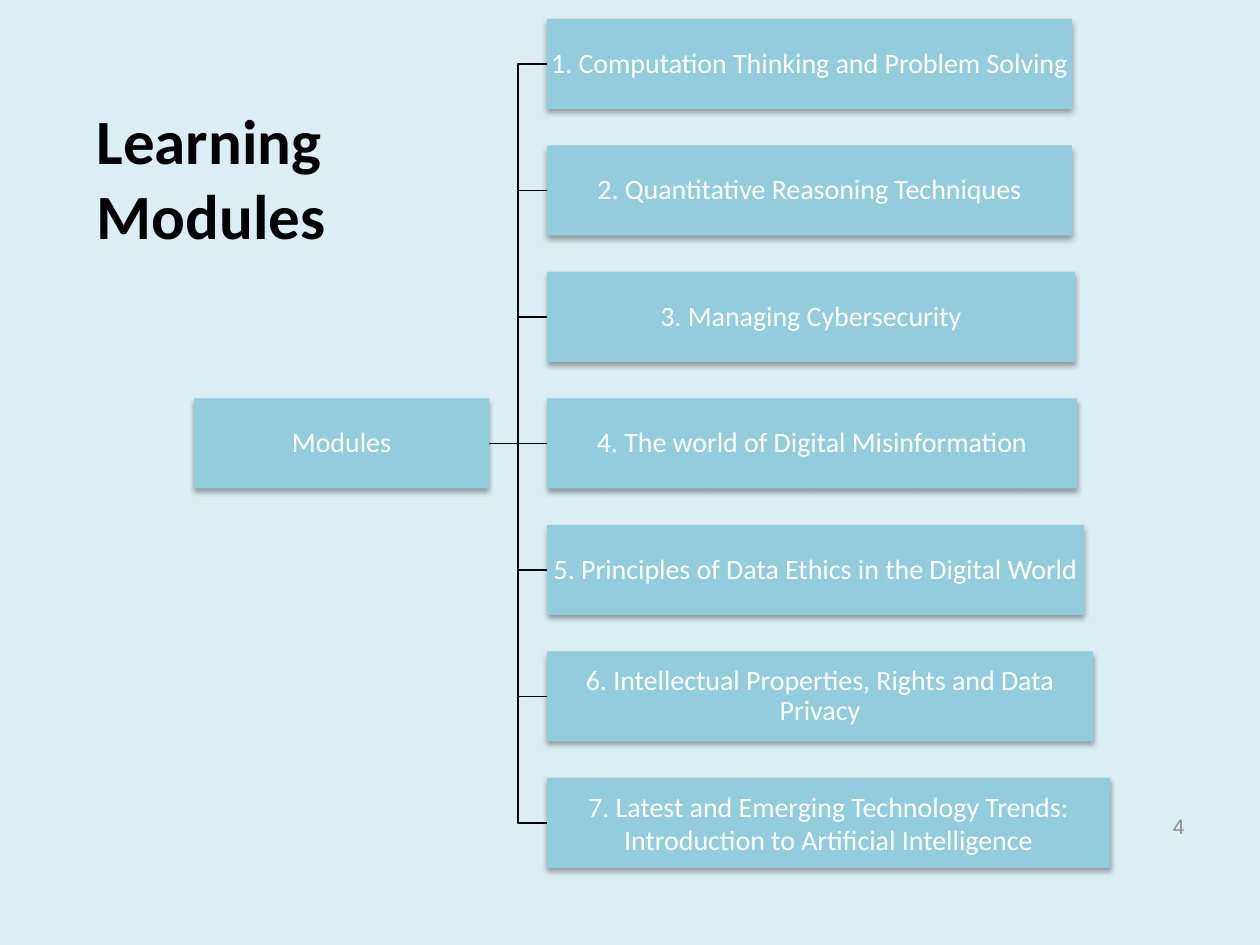
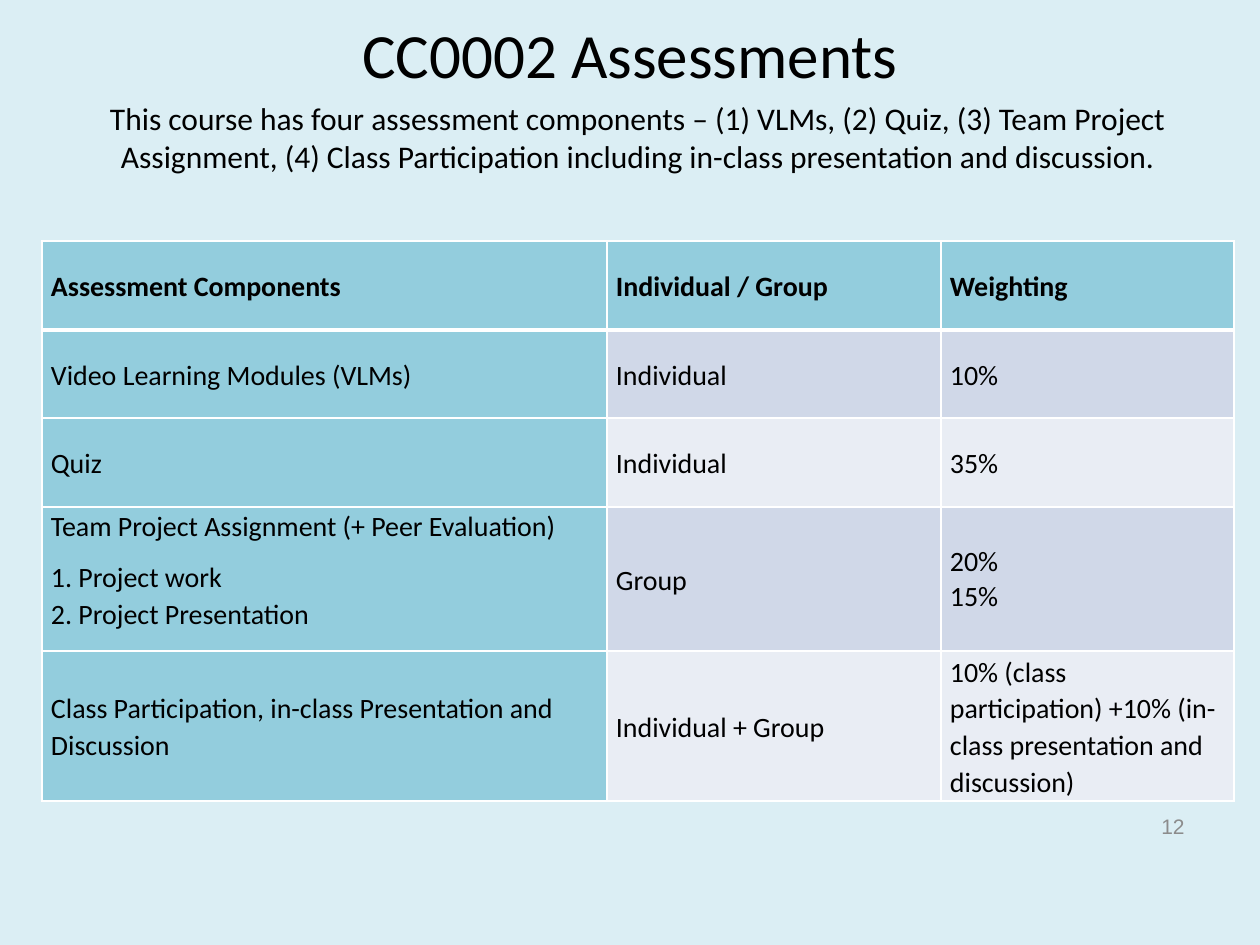
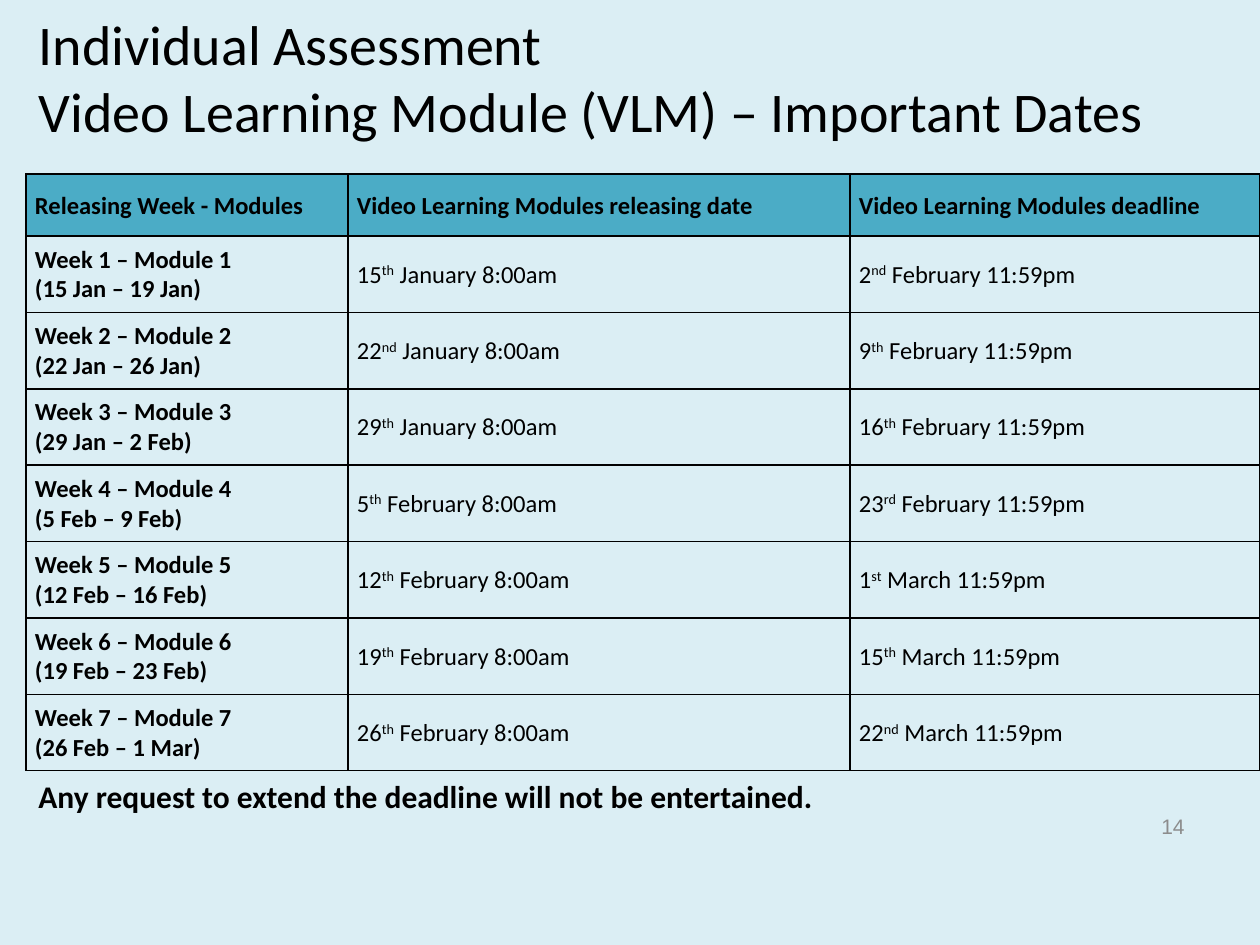
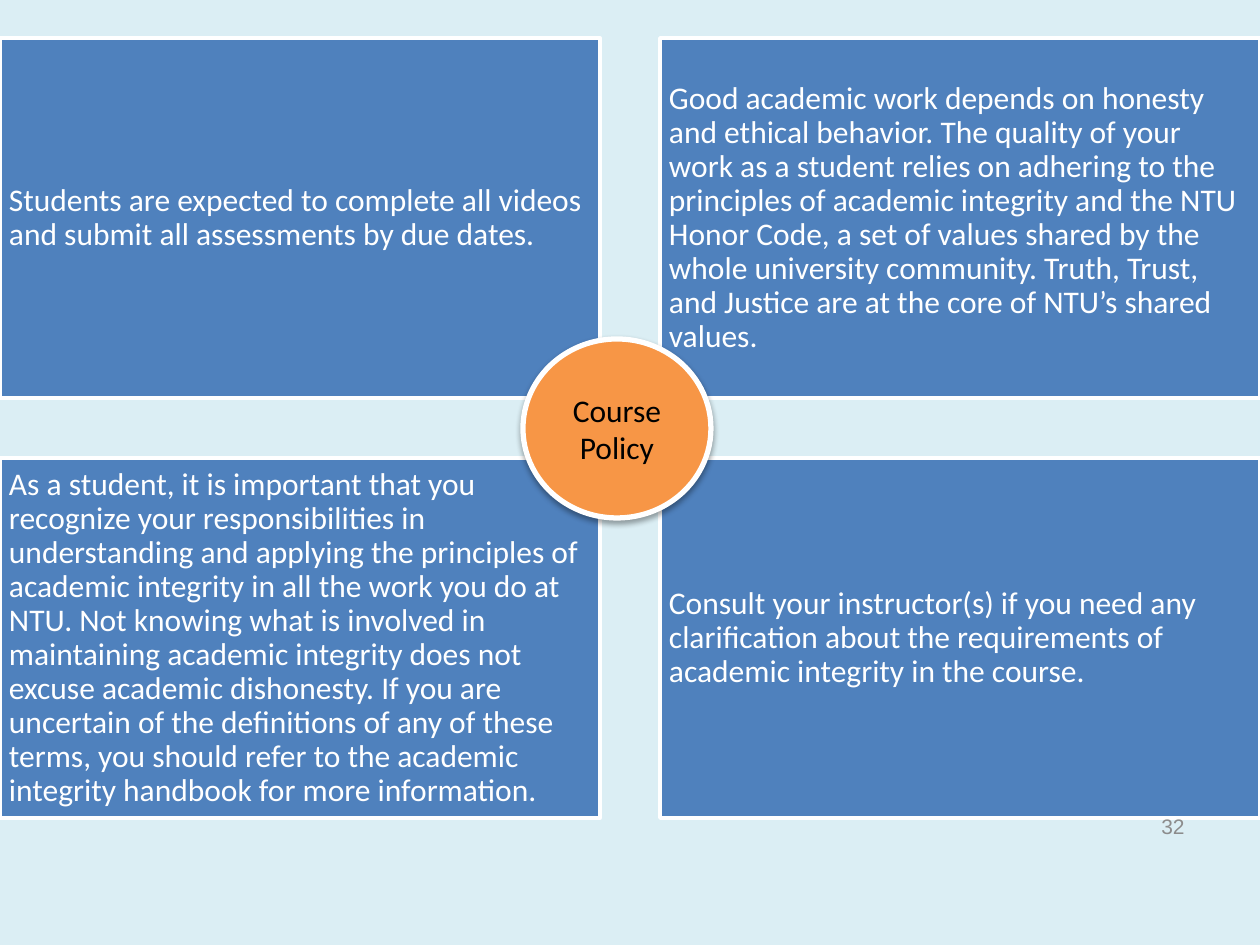
"""Build four course-introduction slides: modules, assessments, dates and policy."""
from lxml import etree
from pptx import Presentation
from pptx import util as u
from pptx.dml.color import RGBColor
from pptx.enum import shapes, text
from pptx.oxml import ns

PX = 914400 / 126
WIDTH, HEIGHT = 1260, 945
FONT, NUMBER_FONT = "Calibri", "Arial"
BLACK, WHITE, GREY = "000000", "FFFFFF", "8C8C8C"
PALE, SKY, TEAL = "DBEEF4", "93CDDD", "4BACC6"
BLUE, ORANGE = "4F81BD", "F79646"
BANDS = ["D0D8E8", "E9EDF4"]
TITLE_ONLY, BLANK = 5, 6
LEFT, CENTER, RIGHT, JUSTIFY = (text.PP_ALIGN.LEFT, text.PP_ALIGN.CENTER,
                                text.PP_ALIGN.RIGHT, text.PP_ALIGN.JUSTIFY)
TOP, MIDDLE = text.MSO_ANCHOR.TOP, text.MSO_ANCHOR.MIDDLE

MODULES = [
    ("1. Computation Thinking and Problem Solving", 525),
    ("2. Quantitative Reasoning Techniques", 525),
    ("3. Managing Cybersecurity", 528),
    ("4. The world of Digital Misinformation", 530),
    ("5. Principles of Data Ethics in the Digital World", 537),
    ("6. Intellectual Properties, Rights and Data Privacy", 546),
    ("7. Latest and Emerging Technology Trends:\nIntroduction to Artificial Intelligence", 563),
]
ASSESSMENT_INTRO = (
    "This course has four assessment components – (1) VLMs, (2) Quiz, (3) Team Project "
    "Assignment, (4) Class Participation including in-class presentation and discussion.")
ASSESSMENTS = [
    ("Assessment Components", "Individual / Group", "Weighting"),
    ("Video Learning Modules (VLMs)", "Individual", "10%"),
    ("Quiz", "Individual", "35%"),
    ("Team Project Assignment (+ Peer Evaluation)\n1. Project work\n2. Project Presentation",
     "Group", "20%\n15%"),
    ("Class Participation, in-class Presentation and Discussion", "Individual + Group",
     "10% (class participation) +10% (in-class presentation and discussion)"),
]
DATE_HEADER = ("Releasing Week - Modules", "Video Learning Modules releasing date",
               "Video Learning Modules deadline")
DATES = [
    ("15 Jan – 19 Jan", "15^th^ January 8:00am", "2^nd^ February 11:59pm"),
    ("22 Jan – 26 Jan", "22^nd^ January 8:00am", "9^th^ February 11:59pm"),
    ("29 Jan – 2 Feb", "29^th^ January 8:00am", "16^th^ February 11:59pm"),
    ("5 Feb – 9 Feb", "5^th^ February 8:00am", "23^rd^ February 11:59pm"),
    ("12 Feb – 16 Feb", "12^th^ February 8:00am", "1^st^ March 11:59pm"),
    ("19 Feb – 23 Feb", "19^th^ February 8:00am", "15^th^ March 11:59pm"),
    ("26 Feb – 1 Mar", "26^th^ February 8:00am", "22^nd^ March 11:59pm"),
]
DATES_NOTE = "Any request to extend the deadline will not be entertained."
POLICIES = [
    "Students are expected to complete all videos and submit all assessments by due dates.",
    "Good academic work depends on honesty and ethical behavior. The quality of your work as a "
    "student relies on adhering to the principles of academic integrity and the NTU Honor Code, "
    "a set of values shared by the whole university community. Truth, Trust, and Justice are at "
    "the core of NTU’s shared values.",
    "As a student, it is important that you recognize your responsibilities in understanding and "
    "applying the principles of academic integrity in all the work you do at NTU. Not knowing "
    "what is involved in maintaining academic integrity does not excuse academic dishonesty. If "
    "you are uncertain of the definitions of any of these terms, you should refer to the "
    "academic integrity handbook for more information.",
    "Consult your instructor(s) if you need any clarification about the requirements of academic "
    "integrity in the course.",
]


def emu(px):
    return u.Emu(round(px * PX))


def rgb(code):
    return RGBColor.from_string(code)


def assign(obj, **values):
    for name, value in values.items():
        setattr(obj, name, value)


def place(sp, box):
    assign(sp, **dict(zip(("left", "top", "width", "height"), map(emu, box))))


def write(tf, content, size, color=BLACK, bold=False, font=FONT, align=LEFT, spacing=1, after=0):
    """Fill a text frame; newlines part paragraphs and carets enclose superscripts."""
    for i, line in enumerate(content.split("\n")):
        p = tf.add_paragraph() if i else tf.paragraphs[0]
        assign(p, alignment=align, line_spacing=spacing, space_after=u.Pt(after))
        for k, part in enumerate(line.split("^")):
            r = p.add_run()
            r.text = part
            assign(r.font, size=u.Pt(size), bold=bold, name=font)
            r.font.color.rgb = rgb(color)
            if k % 2:
                r._r.get_or_add_rPr().set("baseline", "30000")


def set_margins(obj, left, top, right, bottom):
    assign(obj, margin_left=emu(left), margin_top=emu(top),
           margin_right=emu(right), margin_bottom=emu(bottom))


def add_title(s, content, box, size, **style):
    sp = s.shapes.title
    place(sp, box)
    assign(sp.text_frame, auto_size=text.MSO_AUTO_SIZE.NONE, word_wrap=True,
           vertical_anchor=MIDDLE)
    write(sp.text_frame, content, size, **style)


def add_text(s, content, box, size, anchor=TOP, **style):
    tf = s.shapes.add_textbox(*map(emu, box)).text_frame
    assign(tf, word_wrap=True, vertical_anchor=anchor)
    write(tf, content, size, **style)


def add_number(s, number):
    add_text(s, str(number), (903, 801, 294, 50), 12, MIDDLE, color=GREY,
             font=NUMBER_FONT, align=RIGHT)


def add_effects(sp, shadow):
    effects = etree.SubElement(sp._element.spPr, ns.qn("a:effectLst"))
    if shadow:
        outer = etree.SubElement(effects, ns.qn("a:outerShdw"), blurRad="40000", dist="23000",
                                 dir="5400000", rotWithShape="0")
        color = etree.SubElement(outer, ns.qn("a:srgbClr"), val=BLACK)
        etree.SubElement(color, ns.qn("a:alpha"), val="35000")


def add_box(s, content, box, fill, size, kind=shapes.MSO_SHAPE.RECTANGLE, line=0, margin=None,
            shadow=False, **style):
    sp = s.shapes.add_shape(kind, *map(emu, box))
    sp.fill.solid()
    sp.fill.fore_color.rgb = rgb(fill)
    if line:
        sp.line.color.rgb = rgb(WHITE)
        sp.line.width = u.Pt(line)
    else:
        sp.line.fill.background()
    add_effects(sp, shadow)
    tf = sp.text_frame
    assign(tf, word_wrap=True, vertical_anchor=MIDDLE)
    if margin:
        set_margins(tf, *[margin] * 4)
    write(tf, content, size, **style)


def add_borders(cell, color, top=1, bottom=1):
    tc_pr = cell._tc.get_or_add_tcPr()
    for side, width in (("L", 1), ("R", 1), ("T", top), ("B", bottom)):
        ln = etree.SubElement(tc_pr, ns.qn(f"a:ln{side}"), w=str(u.Pt(width)))
        fill = etree.SubElement(ln, ns.qn("a:solidFill"))
        etree.SubElement(fill, ns.qn("a:srgbClr"), val=color)


def add_grid(s, rows, left, top, widths, heights, border, rule, fill_of, style_of):
    """Add a table whose fills and text styles follow from row and column."""
    frame = s.shapes.add_table(len(rows), len(widths),
                               *map(emu, (left, top, sum(widths), sum(heights))))
    table = frame.table
    assign(table, first_row=False, horz_banding=False)
    for column, width in zip(table.columns, widths):
        column.width = emu(width)
    for row, height in zip(table.rows, heights):
        row.height = emu(height)
    for i, row in enumerate(rows):
        for j, content in enumerate(row):
            cell = table.cell(i, j)
            set_margins(cell, 9, 1, 9, 0)
            add_borders(cell, border, rule if i == 1 else 1, rule if i == 0 else 1)
            fill = fill_of(i, j)
            if fill:
                cell.fill.solid()
                cell.fill.fore_color.rgb = rgb(fill)
            else:
                cell.fill.background()
            cell.vertical_anchor = MIDDLE
            write(cell.text_frame, content, **style_of(i, j))
    return table


def modules_slide(s):
    add_title(s, "Learning\nModules", (84, 98, 1134, 158), 36, bold=True)
    style = dict(fill=SKY, size=16, color=WHITE, align=CENTER, margin=1, shadow=True)
    left, top, height, span = 547, 19, 90, 759
    root_left, root_width = 194, 295
    tops = [top + span * i / (len(MODULES) - 1) for i in range(len(MODULES))]
    middle = tops[len(tops) // 2]
    for y in tops:
        kind = shapes.MSO_CONNECTOR.STRAIGHT if y == middle else shapes.MSO_CONNECTOR.ELBOW
        ends = root_left + root_width, middle + height / 2, left, y + height / 2
        link = s.shapes.add_connector(kind, *map(emu, ends))
        link.line.color.rgb = rgb(BLACK)
        link.line.width = u.Pt(0.75)
        add_effects(link, False)
    add_box(s, "Modules", (root_left, middle, root_width, height), spacing=0.9, **style)
    for (name, width), y in zip(MODULES, tops):
        add_box(s, name, (left, y, width, height), spacing=1 if "\n" in name else 0.9, **style)


def assessments_slide(s):
    def fill_of(i, j):
        return SKY if i == 0 or j == 0 else BANDS[(i - 1) % 2]

    def style_of(i, j):
        style = dict(size=16, bold=i == 0, spacing=1.07, after=8)
        return style | dict(spacing=1, after=0) if (i, j) == (3, 2) else style

    add_title(s, "CC0002 Assessments", (63, 0, 1134, 107), 36, align=CENTER)
    table = add_grid(s, ASSESSMENTS, 42, 241, (565, 334, 293), (89, 88, 89, 144, 150),
                     WHITE, 3, fill_of, style_of)
    team = table.cell(3, 0)
    team.vertical_anchor = TOP
    team.text_frame.paragraphs[1].space_after = u.Pt(0)
    add_text(s, ASSESSMENT_INTRO, (42, 93, 1192, 89), 18, align=CENTER)


def dates_slide(s):
    def style_of(i, j):
        if i == 0:
            return dict(size=14, bold=True, spacing=1.07, after=8)
        return dict(size=14, bold=j == 0, align=JUSTIFY)

    add_title(s, "Individual Assessment\nVideo Learning Module (VLM) – Important Dates",
              (26, 29, 1234, 95), 32)
    rows = [DATE_HEADER] + [(f"Week {n} – Module {n}\n({week})", release, deadline)
                            for n, (week, release, deadline) in enumerate(DATES, 1)]
    header, total = 62, 597
    heights = [header] + [(total - header) / len(DATES)] * len(DATES)
    add_grid(s, rows, 26, 174, (322, 502, 410), heights, BLACK, 1,
             lambda i, j: None if i else TEAL, style_of)
    add_text(s, DATES_NOTE, (26, 771, 1223, 50), 18, bold=True, after=6)


def policy_slide(s):
    for i, policy in enumerate(POLICIES):
        row, col = divmod(i, 2)
        add_box(s, policy, (660 * col, 38 + 420 * row, 600, 360), BLUE, 18, line=2, margin=9,
                color=WHITE, spacing=0.9)
    add_box(s, "Course Policy", (523, 339, 188, 179), ORANGE, 18, shapes.MSO_SHAPE.OVAL,
            line=3, shadow=True, align=CENTER)


def main():
    prs = Presentation()
    assign(prs, slide_width=emu(WIDTH), slide_height=emu(HEIGHT))
    fill = prs.slide_master.background.fill
    fill.solid()
    fill.fore_color.rgb = rgb(PALE)
    for build, layout, number in ((modules_slide, TITLE_ONLY, 4),
                                  (assessments_slide, TITLE_ONLY, 12),
                                  (dates_slide, TITLE_ONLY, 14),
                                  (policy_slide, BLANK, 32)):
        s = prs.slides.add_slide(prs.slide_layouts[layout])
        build(s)
        add_number(s, number)
    prs.save("out.pptx")


if __name__ == "__main__":
    main()
